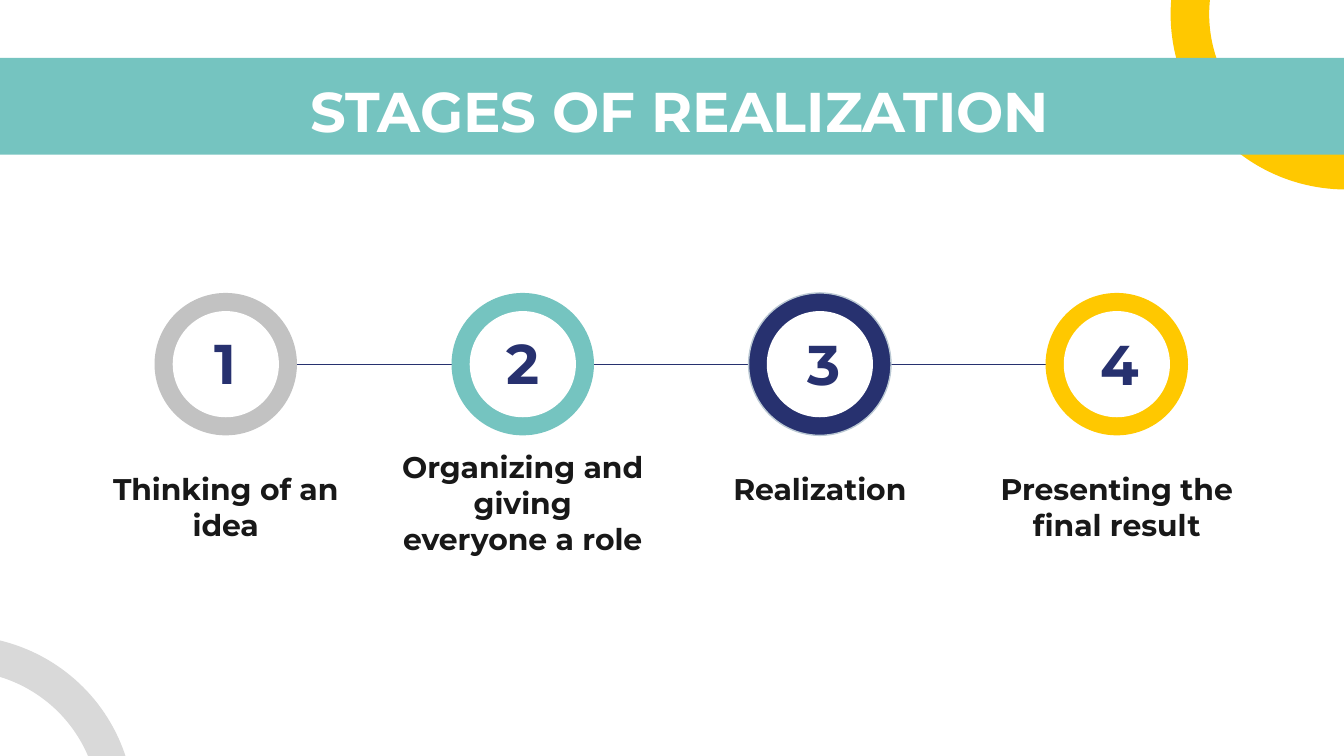
"""Build the slide on the four stages of realization."""
from dataclasses import dataclass
from typing import Optional

from lxml import etree
from pptx import Presentation
from pptx.dml.color import RGBColor
from pptx.enum.shapes import MSO_CONNECTOR, MSO_SHAPE
from pptx.enum.text import MSO_ANCHOR, PP_ALIGN
from pptx.oxml.ns import qn
from pptx.util import Inches, Pt

ARC, OVAL, RECT = MSO_SHAPE.BLOCK_ARC, MSO_SHAPE.OVAL, MSO_SHAPE.RECTANGLE
LINE = MSO_CONNECTOR.STRAIGHT
TOP, MID = MSO_ANCHOR.TOP, MSO_ANCHOR.MIDDLE
LEFT, CENTER = PP_ALIGN.LEFT, PP_ALIGN.CENTER

WHITE = RGBColor(0xFF, 0xFF, 0xFF)
BLACK = RGBColor(0x18, 0x18, 0x18)
TEAL = RGBColor(0x75, 0xC4, 0xC0)
NAVY = RGBColor(0x27, 0x31, 0x6F)
GOLD = RGBColor(0xFF, 0xC8, 0x00)
GRAY = RGBColor(0xC2, 0xC2, 0xC2)
PALE = RGBColor(0xD9, 0xD9, 0xD9)
EDGE = RGBColor(0xBA, 0xC8, 0xD3)

FONT = "Montserrat"
WIDTH = Inches(10)
HEIGHT = WIDTH * 9 // 16
START, STEP, MIDDLE = 1.68, 2.21, 2.71
RING, HOLE = 1.06, 0.79


@dataclass
class Box:
    left: float
    top: float
    width: float
    height: float

    def lengths(self) -> tuple:
        return tuple(map(Inches, (self.left, self.top, self.width, self.height)))


@dataclass
class Arc:
    box: Box
    turn: int
    bends: tuple
    color: RGBColor


@dataclass
class Stage:
    label: str
    color: RGBColor
    top: float = 3.4
    height: float = 0.55
    shift: float = 0
    rise: float = 2.47
    edge: Optional[RGBColor] = None


ARCS = [
    Arc(Box(8.71, -1.2, 2.61, 2.61), 270, (108.21, 165.56, 0.11), GOLD),
    Arc(Box(-1.61, 4.73, 2.61, 2.61), 345, (175.07, 215.56, 0.1), PALE),
]
STAGES = [
    Stage("Thinking of an idea", GRAY),
    Stage("Organizing and giving everyone a role", TEAL, top=3.24, height=1.04),
    Stage("Realization", NAVY, shift=0.03, rise=2.48, edge=EDGE),
    Stage("Presenting the final result", GOLD, shift=0.02, rise=2.48),
]


def add_form(slide, kind, box: Box, color: RGBColor, edge: Optional[RGBColor] = None):
    form = slide.shapes.add_shape(kind, *box.lengths())
    form.shadow.inherit = False
    form.fill.solid()
    form.fill.fore_color.rgb = color
    if edge is None:
        form.line.fill.background()
    else:
        form.line.color.rgb = edge
        form.line.width = Pt(0.75)
    return form


def add_arc(slide, arc: Arc) -> None:
    form = add_form(slide, ARC, arc.box, arc.color)
    form.rotation = arc.turn
    for index, bend in enumerate(arc.bends):
        form.adjustments[index] = bend


def add_disc(slide, center: float, size: float, color: RGBColor,
             edge: Optional[RGBColor] = None) -> None:
    box = Box(center - size / 2, MIDDLE - size / 2, size, size)
    add_form(slide, OVAL, box, color, edge)


def add_link(slide, start: float, end: float) -> None:
    link = slide.shapes.add_connector(
        LINE, Inches(start), Inches(MIDDLE), Inches(end), Inches(MIDDLE))
    link.line.color.rgb = NAVY
    link.line.width = Pt(0.75)
    etree.SubElement(link._element.spPr, qn("a:effectLst"))


def add_text(slide, box: Box, text: str, size: int, color: RGBColor,
             align=CENTER, anchor=TOP) -> None:
    frame = slide.shapes.add_textbox(*box.lengths()).text_frame
    frame.word_wrap = True
    frame.vertical_anchor = anchor
    frame.margin_left = frame.margin_right = Inches(0.1)
    frame.margin_top = frame.margin_bottom = Inches(0.1)
    frame.text = text
    line = frame.paragraphs[0]
    line.alignment = align
    font = line.runs[0].font
    font.name, font.size, font.bold = FONT, Pt(size), True
    font.color.rgb = color


def add_stage(slide, index: int, stage: Stage) -> None:
    center = START + index * STEP
    add_disc(slide, center, RING, stage.color, stage.edge)
    add_disc(slide, center, HOLE, WHITE)
    label = Box(center - 1.01, stage.top, 2.02, stage.height)
    add_text(slide, label, stage.label, 16, BLACK)
    number = Box(center + stage.shift - 0.45, stage.rise, 0.9, 0.45)
    add_text(slide, number, str(index + 1), 30, NAVY, anchor=MID)


def main() -> None:
    deck = Presentation()
    deck.slide_width, deck.slide_height = WIDTH, HEIGHT
    slide = deck.slides.add_slide(deck.slide_layouts[6])
    gold, pale = ARCS
    add_arc(slide, gold)
    add_form(slide, RECT, Box(-0.17, 0.43, 10.34, 0.72), TEAL)
    add_arc(slide, pale)
    add_text(slide, Box(2.21, 0.47, 8.46, 0.63), "STAGES OF REALIZATION",
             30, WHITE, align=LEFT)
    for index in range(len(STAGES) - 1):
        center = START + index * STEP
        add_link(slide, center + RING / 2, center + STEP - RING / 2)
    for index, stage in enumerate(STAGES):
        add_stage(slide, index, stage)
    deck.save("out.pptx")


if __name__ == "__main__":
    main()
